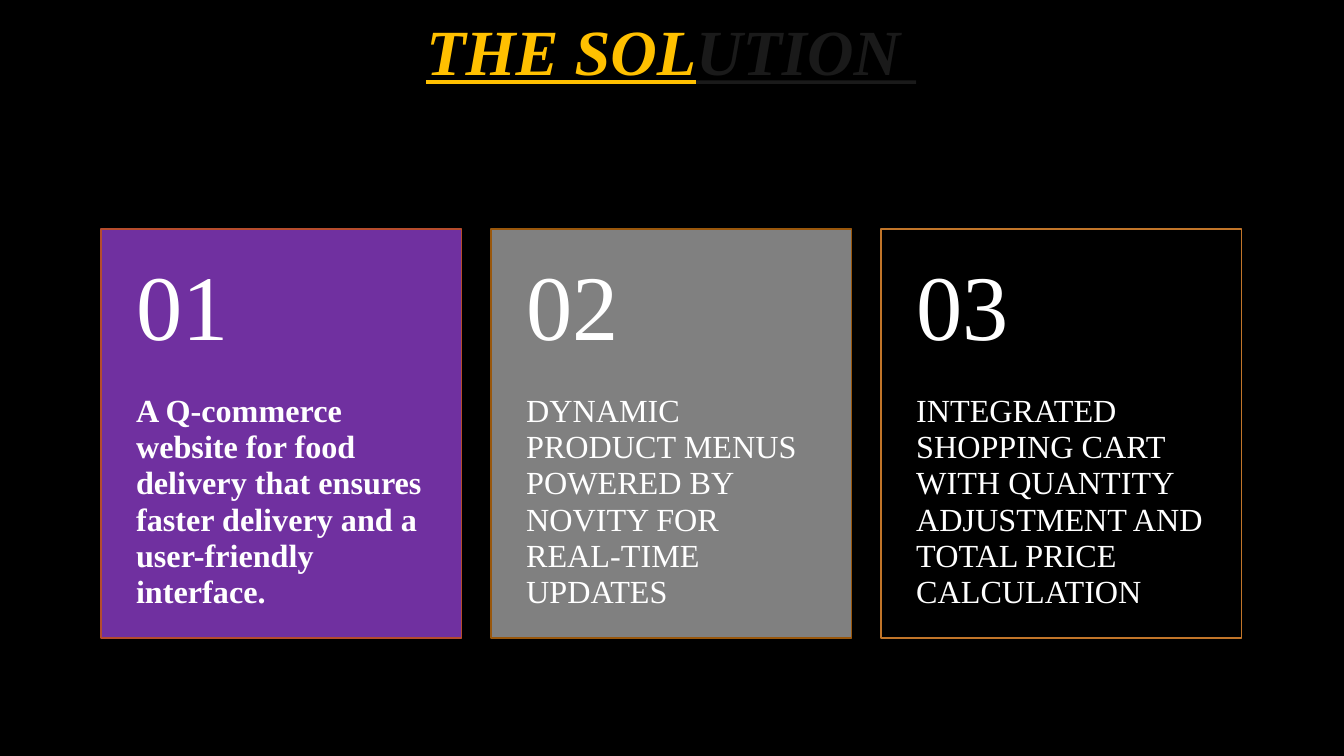
"""Build the solution slide with three numbered cards."""
import pptx
import pptx.dml.color
import pptx.enum.shapes
import pptx.enum.text
import pptx.oxml
import pptx.oxml.ns
import pptx.util

Cm = pptx.util.Cm
RGBColor = pptx.dml.color.RGBColor
ANCHOR = pptx.enum.text.MSO_ANCHOR

BLACK = RGBColor(0x00, 0x00, 0x00)
WHITE = RGBColor(0xFF, 0xFF, 0xFF)
GOLD = RGBColor(0xFF, 0xC0, 0x00)
PURPLE = RGBColor(0x70, 0x30, 0xA0)
GRAY = RGBColor(0x80, 0x80, 0x80)
RUST = RGBColor(0xB5, 0x4C, 0x2D)
BROWN = RGBColor(0x99, 0x57, 0x0C)
ORANGE = RGBColor(0xC1, 0x75, 0x29)


def add_text(p, text, size=23, color=WHITE, bold=False, italic=False, underline=False):
    r = p.add_run()
    r.text = text
    r.font.name = "Times New Roman"
    r.font.size = pptx.util.Pt(size)
    r.font.color.rgb = color
    r.font.bold = bold
    r.font.italic = italic
    r.font.underline = underline
    return r


prs = pptx.Presentation()
prs.slide_width = Cm(33.87)
prs.slide_height = Cm(19.05)
s = prs.slides.add_slide(prs.slide_layouts[5])
s.background.fill.solid()
s.background.fill.fore_color.rgb = BLACK

title = s.shapes.title
title.left, title.top, title.width, title.height = Cm(2.54), Cm(0.36), Cm(28.75), Cm(3.51)
tf = title.text_frame
tf.auto_size = pptx.enum.text.MSO_AUTO_SIZE.NONE
tf.vertical_anchor = ANCHOR.TOP
p = tf.paragraphs[0]
p.alignment = pptx.enum.text.PP_ALIGN.CENTER
p.line_spacing = 0.9
add_text(p, "THE SOL", size=46, color=GOLD, bold=True, italic=True, underline=True)
r = add_text(p, "UTION ", size=46, bold=True, italic=True, underline=True)
clr = r.font.fill._xPr.find(".//" + pptx.oxml.ns.qn("a:srgbClr"))
clr.append(pptx.oxml.parse_xml(f'<a:alpha {pptx.oxml.ns.nsdecls("a")} val="10000"/>'))

cards = [
    ("A Q-commerce website for food delivery that ensures faster delivery "
     "and a user-friendly interface.", True, PURPLE, RUST),
    ("DYNAMIC PRODUCT MENUS POWERED BY NOVITY FOR REAL-TIME UPDATES", False, GRAY, BROWN),
    ("INTEGRATED SHOPPING CART WITH QUANTITY ADJUSTMENT AND TOTAL PRICE CALCULATION",
     False, BLACK, ORANGE),
]
top, width = Cm(5.77), Cm(9.09)
for i, (text, bold, fill, line) in enumerate(cards):
    left = Cm(2.54 + 9.83 * i)
    sp = s.shapes.add_shape(pptx.enum.shapes.MSO_SHAPE.RECTANGLE, left, top, width, Cm(10.31))
    sp.shadow.inherit = False
    sp.fill.solid()
    sp.fill.fore_color.rgb = fill
    sp.line.color.rgb = line
    sp.line.width = pptx.util.Pt(1.25)

    boxes = [
        (text, 23, bold, Cm(9.91), Cm(6.2), ANCHOR.TOP, 0, Cm(0.91), 0.94),
        (f"{i + 1:02}", 66, False, top, Cm(4.11), ANCHOR.MIDDLE, Cm(0.46), Cm(0.46), 0.9),
    ]
    for words, size, heavy, y, height, anchor, inset_top, inset_bottom, spacing in boxes:
        tf = s.shapes.add_textbox(left, y, width, height).text_frame
        tf.word_wrap = True
        tf.vertical_anchor = anchor
        tf.margin_left = tf.margin_right = Cm(0.89)
        tf.margin_top, tf.margin_bottom = inset_top, inset_bottom
        p = tf.paragraphs[0]
        p.line_spacing = spacing
        add_text(p, words, size=size, bold=heavy)

prs.save("out.pptx")
